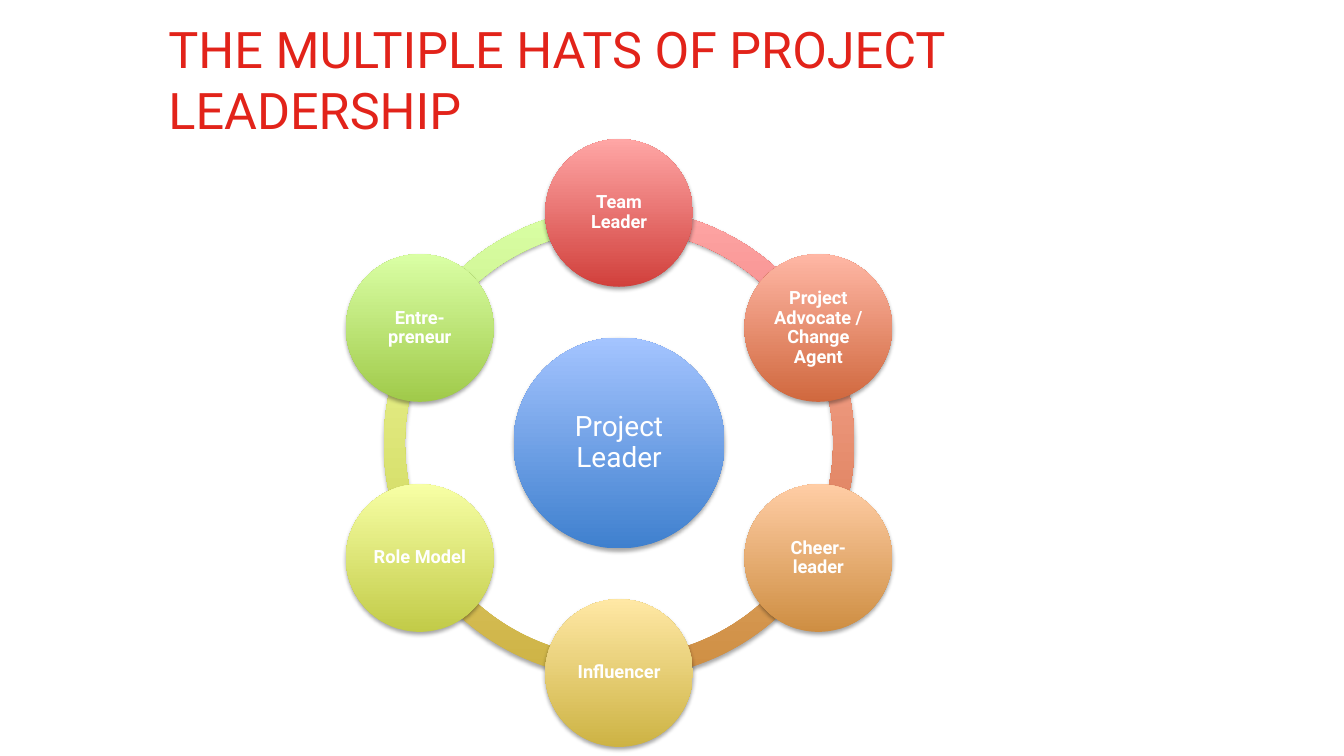
from dataclasses import dataclass
from math import cos, radians, sin

from lxml import etree
from pptx import Presentation
from pptx.dml.color import RGBColor
from pptx.enum.shapes import MSO_SHAPE
from pptx.enum.text import MSO_ANCHOR, MSO_AUTO_SIZE, PP_ALIGN
from pptx.oxml.ns import qn
from pptx.util import Inches, Pt

OVAL, BLOCK_ARC = MSO_SHAPE.OVAL, MSO_SHAPE.BLOCK_ARC
LEFT, CENTER = PP_ALIGN.LEFT, PP_ALIGN.CENTER
MIDDLE, BOTTOM = MSO_ANCHOR.MIDDLE, MSO_ANCHOR.BOTTOM
NO_AUTOFIT = MSO_AUTO_SIZE.NONE
TITLE_ONLY = 5


@dataclass(frozen=True)
class Theme:
    font: str = "Roboto"
    title_color: str = "E2231A"
    label_color: str = "FFFFFF"
    hub_gradient: tuple = ("3F80CE", "A4C4FF")
    title_size: int = 36
    hub_size: int = 20
    hat_size: int = 13


THEME = Theme()

# Clockwise from the top: label, dark colour, light colour
HATS = [
    ("Team Leader", "D1403C", "FFA6A5"),
    ("Project Advocate / Change Agent", "D0683E", "FFB7A5"),
    ("Cheer-leader", "CE8E42", "FFCDA5"),
    ("Influencer", "CDB344", "FFE8A5"),
    ("Role Model", "C2CB48", "F7FFA5"),
    ("Entre-preneur", "A0CA4A", "DAFFA5"),
]


def write_text(frame, text, size, color, alignment, anchor, inset=0, bold=False):
    frame.word_wrap = True
    frame.auto_size = NO_AUTOFIT
    frame.vertical_anchor = anchor
    frame.margin_left = frame.margin_right = Inches(inset)
    frame.margin_top = frame.margin_bottom = Inches(inset)
    paragraph = frame.paragraphs[0]
    paragraph.alignment = alignment
    run = paragraph.add_run()
    run.text = text
    run.font.name = THEME.font
    run.font.size = Pt(size)
    run.font.bold = bold
    run.font.color.rgb = RGBColor.from_string(color)
    return paragraph


def add_soft_shadow(shape):
    shape.shadow.inherit = False
    effects = shape._element.spPr.find(qn("a:effectLst"))
    shadow = etree.SubElement(
        effects, qn("a:outerShdw"), blurRad=str(Pt(3.1)), dist=str(Pt(1.8)),
        dir="5400000", rotWithShape="0")
    color = etree.SubElement(shadow, qn("a:srgbClr"), val="000000")
    etree.SubElement(color, qn("a:alpha"), val="35000")


def add_shaded_shape(group, kind, center_x, center_y, diameter, gradient):
    """Add a round shape about a center, dark at the bottom and light at the top."""
    shape = group.shapes.add_shape(
        kind, Inches(center_x - diameter / 2), Inches(center_y - diameter / 2),
        Inches(diameter), Inches(diameter))
    shape.fill.gradient()
    shape.fill.gradient_angle = 90
    for stop, color in zip(shape.fill.gradient_stops, gradient):
        stop.color.rgb = RGBColor.from_string(color)
    shape.line.fill.background()
    add_soft_shadow(shape)
    return shape


def add_circle(group, center_x, center_y, diameter, gradient, label, size, bold):
    circle = add_shaded_shape(group, OVAL, center_x, center_y, diameter, gradient)
    paragraph = write_text(circle.text_frame, label, size, THEME.label_color,
                           CENTER, MIDDLE, inset=0.02, bold=bold)
    paragraph.line_spacing = 0.9


def add_title(slide, left, top, width, height):
    title = slide.shapes.title
    title.left, title.top = Inches(left), Inches(top)
    title.width, title.height = Inches(width), Inches(height)
    write_text(title.text_frame, "THE MULTIPLE HATS OF PROJECT LEADERSHIP",
               THEME.title_size, THEME.title_color, LEFT, BOTTOM)


def add_hat_wheel(slide, left, top, width, height):
    """Place the hub, the ring of arcs and the hats inside the given box."""
    group = slide.shapes.add_group_shape()
    center_x, center_y = left + width / 2, top + height / 2
    hat_diameter = height * 0.243
    orbit = (height - hat_diameter) / 2
    step = 360 / len(HATS)

    for index, (_, *gradient) in reversed(list(enumerate(HATS))):
        arc = add_shaded_shape(group, BLOCK_ARC, center_x, center_y,
                               height * 0.774, gradient)
        start = 270 + step * index
        # Angles are stored in 60000ths of a degree, adjustments in 100000ths
        arc.adjustments[0] = start % 360 * 0.6
        arc.adjustments[1] = (start + step) % 360 * 0.6
        arc.adjustments[2] = 0.045

    add_circle(group, center_x, center_y, height * 0.347, THEME.hub_gradient,
               "Project Leader", THEME.hub_size, False)
    for index, (label, *gradient) in enumerate(HATS):
        angle = radians(270 + step * index)
        add_circle(group, center_x + orbit * cos(angle), center_y + orbit * sin(angle),
                   hat_diameter, gradient, label, THEME.hat_size, True)


def main():
    presentation = Presentation()
    presentation.slide_width = Inches(13.33)
    presentation.slide_height = Inches(7.5)
    slide = presentation.slides.add_slide(presentation.slide_layouts[TITLE_ONLY])
    add_title(slide, 1.67, 0.54, 10.6, 0.84)
    add_hat_wheel(slide, 3.43, 1.38, 5.42, 6.03)
    presentation.save("out.pptx")


if __name__ == "__main__":
    main()
